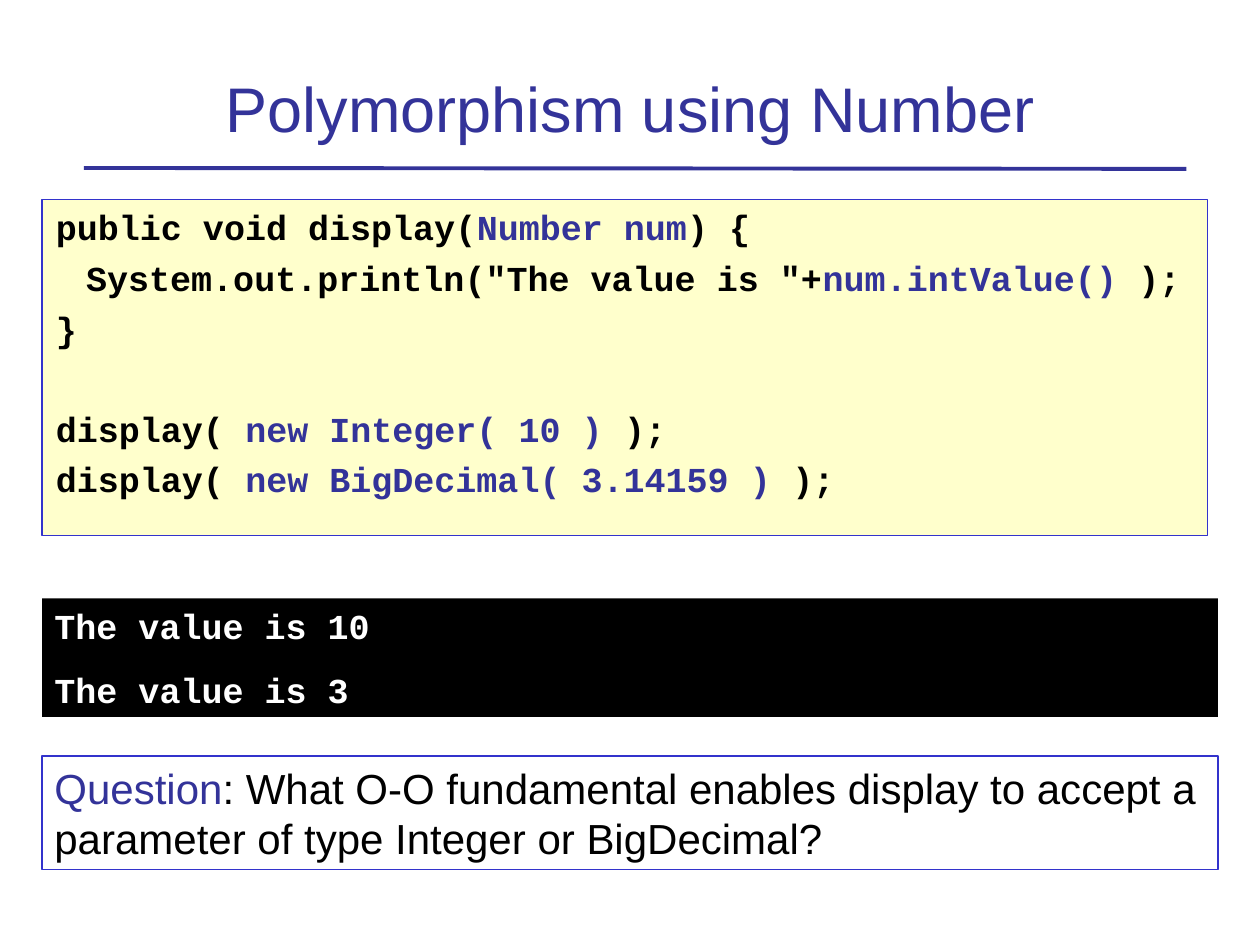
import pptx
import pptx.dml.color
import pptx.enum.shapes
import pptx.enum.text
import pptx.oxml
import pptx.oxml.ns
import pptx.util

COLORS = {
    "accent": "333399",
    "border": "3333CC",
    "code": "FFFFCC",
    "black": "000000",
    "white": "FFFFFF",
}
TITLE = {"name": "Arial", "size": 36, "bold": False}
CODE = {"name": "Courier New", "size": 20, "bold": True}
QUESTION = {"name": "Arial", "size": 24, "bold": False}


class SlideBuilder:
    """Draws styled elements on the current slide, with lengths in points."""

    def __init__(self, presentation):
        self.slide = presentation.slides.add_slide(presentation.slide_layouts[1])

    def color(self, name):
        return pptx.dml.color.RGBColor.from_string(COLORS[name])

    def place(self, shape, box):
        for name, value in zip(("left", "top", "width", "height"), box):
            setattr(shape, name, pptx.util.Pt(value))

    def paint(self, shape, fill, border):
        if fill:
            shape.fill.solid()
            shape.fill.fore_color.rgb = self.color(fill)
        else:
            shape.fill.background()
        if border:
            shape.line.color.rgb = self.color(border)
            shape.line.width = pptx.util.Pt(0.75)
        else:
            shape.line.fill.background()

    def add_text(self, shape, paragraphs, font, spacing=0, anchor="TOP", align="LEFT"):
        frame = shape.text_frame
        settings = {
            "word_wrap": True,
            "auto_size": pptx.enum.text.MSO_AUTO_SIZE.NONE,
            "vertical_anchor": pptx.enum.text.MSO_ANCHOR[anchor],
        }
        for name, value in settings.items():
            setattr(frame, name, value)
        for index, (extra, runs) in enumerate(paragraphs):
            paragraph = frame.add_paragraph() if index else frame.paragraphs[0]
            paragraph.alignment = pptx.enum.text.PP_ALIGN[align]
            paragraph.space_before = pptx.util.Pt(spacing + extra if index else 0)
            for text, color in runs:
                run = paragraph.add_run()
                run.text = text
                values = {**font, "size": pptx.util.Pt(font["size"])}
                for name, value in values.items():
                    setattr(run.font, name, value)
                run.font.color.rgb = self.color(color)

    def rule(self, start, end):
        line = self.slide.shapes.add_connector(
            pptx.enum.shapes.MSO_CONNECTOR.STRAIGHT,
            *(pptx.util.Pt(value) for value in start + end),
        )
        line.line.color.rgb = self.color("accent")
        line.line.width = pptx.util.Pt(2.25)
        line._element.spPr.append(pptx.oxml.parse_xml(
            f"<a:effectLst {pptx.oxml.ns.nsdecls('a')}/>"))

    def title(self, box, text):
        shape = self.slide.shapes.title
        self.place(shape, box)
        self.add_text(shape, [(0, [(text, "accent")])], TITLE, anchor="BOTTOM", align="CENTER")

    def code(self, box, paragraphs):
        shape = self.slide.placeholders[1]
        self.place(shape, box)
        self.paint(shape, "code", "border")
        self.add_text(shape, paragraphs, CODE, spacing=5)
        for paragraph in shape.text_frame.paragraphs:
            properties = paragraph._p.get_or_add_pPr()
            properties.set("marL", str(pptx.util.Pt(18)))
            properties.set("indent", str(pptx.util.Pt(-17.28)))
            properties.append(pptx.oxml.parse_xml(
                f"<a:buNone {pptx.oxml.ns.nsdecls('a')}/>"))

    def panel(self, box, paragraphs, font, fill=None, border=None, spacing=0):
        shape = self.slide.shapes.add_shape(
            pptx.enum.shapes.MSO_SHAPE.RECTANGLE,
            *(pptx.util.Pt(value) for value in box),
        )
        shape.shadow.inherit = False
        self.paint(shape, fill, border)
        self.add_text(shape, paragraphs, font, spacing)


def main():
    presentation = pptx.Presentation()
    presentation.slide_width = pptx.util.Pt(720)
    presentation.slide_height = pptx.util.Pt(540)
    builder = SlideBuilder(presentation)

    builder.rule((48, 96), (678, 96.5))
    builder.title((48, 18, 624, 68.4), "Polymorphism using Number")
    builder.code((24, 114, 666, 192), [
        (0, [("public void display(", "black"), ("Number num", "accent"), (") {", "black")]),
        (0, [('\tSystem.out.println("The value is "+', "black"),
             ("num.intValue()", "accent"), (" );", "black")]),
        (0, [("}", "black")]),
        (28, [("display( ", "black"), ("new Integer( 10 )", "accent"), (" );", "black")]),
        (0, [("display( ", "black"), ("new BigDecimal( 3.14159 )", "accent"), (" );", "black")]),
    ])
    builder.panel((24, 342, 672, 67.7), [
        (0, [("The value is 10", "white")]),
        (0, [("The value is 3", "white")]),
    ], CODE, fill="black", spacing=12.5)
    builder.panel((24, 432, 672, 64.8), [
        (0, [("Question", "accent"),
             (": What O-O fundamental enables display to accept a parameter"
              " of type Integer or BigDecimal?", "black")]),
    ], QUESTION, border="border")
    presentation.save("out.pptx")


if __name__ == "__main__":
    main()
